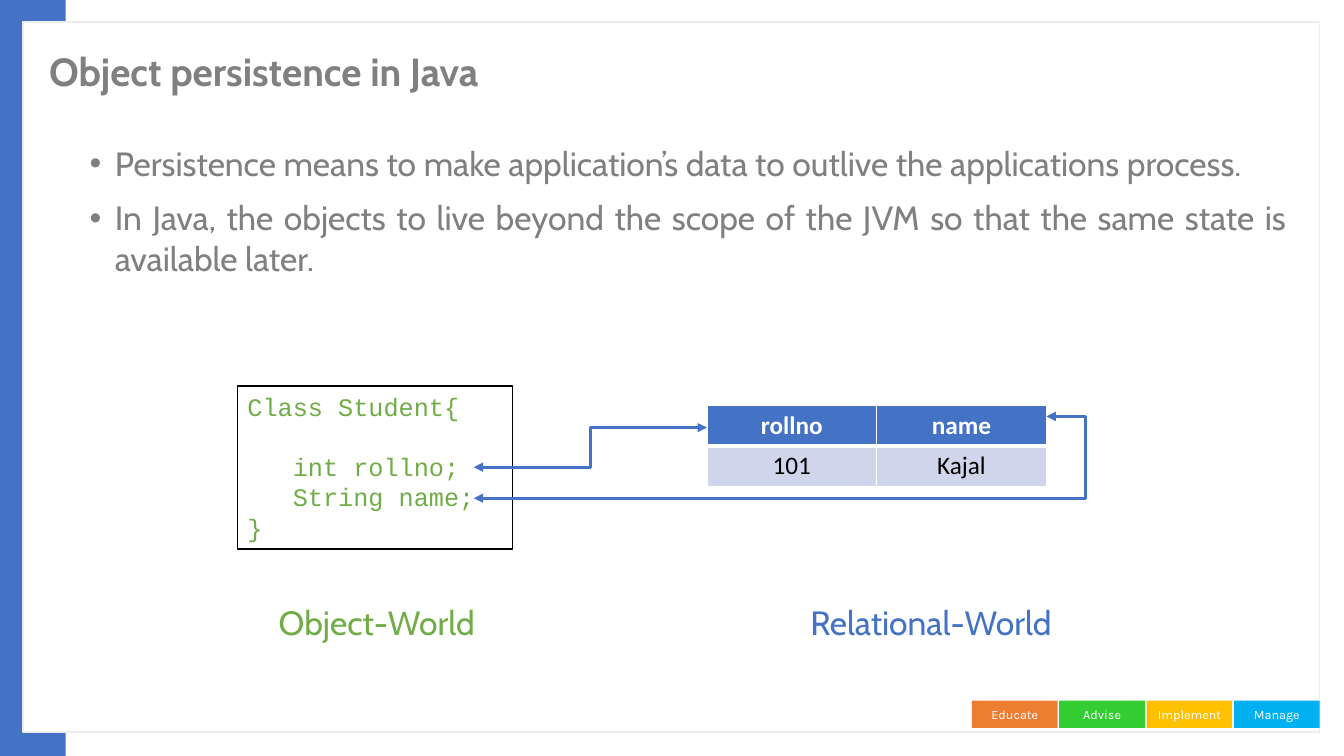
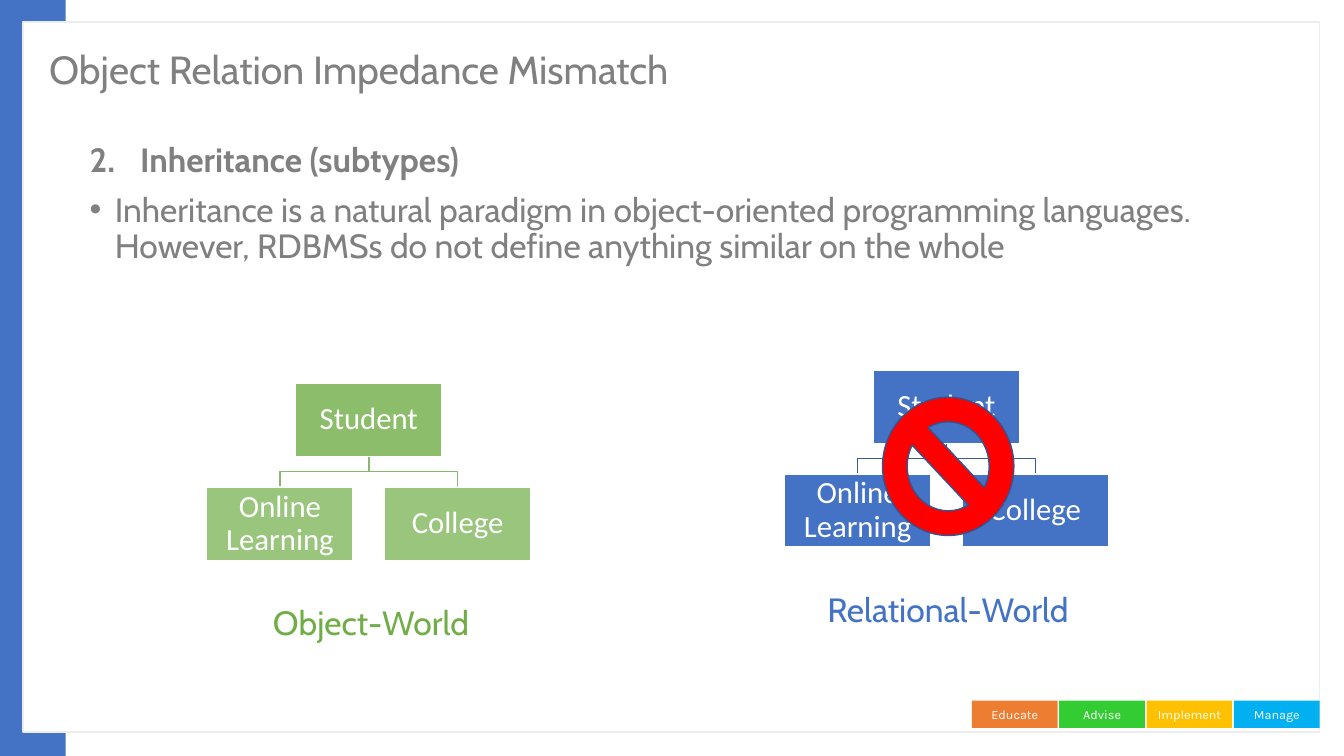
from lxml import etree
from pptx import Presentation
from pptx.dml.color import RGBColor
from pptx.enum import shapes as sh, text as tx
from pptx.oxml.ns import qn
from pptx.util import Pt

BLUE = RGBColor(0x44, 0x72, 0xC4)
NAVY = RGBColor(0x36, 0x5B, 0x9D)
RIM = RGBColor(0x32, 0x54, 0x91)
GREEN = RGBColor(0x70, 0xAD, 0x47)
SAGE = RGBColor(0x88, 0xB7, 0x6F)
GREY = RGBColor(0x80, 0x80, 0x80)
PALE = RGBColor(0xED, 0xED, 0xED)
ICE = RGBColor(0xCF, 0xD5, 0xEA)
RED = RGBColor(0xFF, 0, 0)
WHITE = RGBColor(0xFF, 0xFF, 0xFF)
BLACK = RGBColor(0, 0, 0)
TILES = [("Educate", RGBColor(0xED, 0x7D, 0x31)),
         ("Advise", RGBColor(0x33, 0xCC, 0x33)),
         ("Implement", RGBColor(0xFF, 0xC0, 0)),
         ("Manage", RGBColor(0, 0xB0, 0xF0))]

RECT = sh.MSO_SHAPE.RECTANGLE
LEFT, MID, JUST = tx.PP_ALIGN.LEFT, tx.PP_ALIGN.CENTER, tx.PP_ALIGN.JUSTIFY
CABIN = {"name": "Cabin", "size": Pt(24), "bold": False}
HEAD = {**CABIN, "size": Pt(28)}
TILE = {"name": "Karla", "size": Pt(9)}
CODE = {"name": "Courier New", "size": Pt(18)}
CELL = {"name": "Calibri", "size": Pt(18)}
NODE = {"name": "Calibri", "size": Pt(22)}


# Shared helpers
def put(obj, vals):
    for key, val in vals.items():
        setattr(obj, key, val)


def sub(node, tag, **vals):
    return etree.SubElement(node, qn("a:" + tag), vals)


def pts(*vals):
    return [Pt(v) for v in vals]


def write(frame, lines, font, ink, **para):
    """Each line is a string or a (string, paragraph values, font values) tuple."""
    frame.word_wrap = True
    for i, line in enumerate(lines):
        words, more, style = (line, {}, {}) if isinstance(line, str) else line
        par = frame.paragraphs[0] if i == 0 else frame.add_paragraph()
        put(par, {"alignment": LEFT, **para, **more})
        run = par.add_run()
        run.text = words
        put(run.font, {**font, **style})
        run.font.color.rgb = ink
    return frame


def block(page, box, fill, edge=None, kind=RECT, alpha=None):
    part = page.shapes.add_shape(kind, *pts(*box))
    part.shadow.inherit = False
    part.fill.solid()
    part.fill.fore_color.rgb = fill
    if alpha:
        tint = part._element.spPr.find(qn("a:solidFill"))[0]
        sub(tint, "alpha", val=str(alpha * 1000))
    if edge is None:
        part.line.fill.background()
    else:
        part.line.color.rgb = edge
        part.line.width = Pt(1)
    return part


def label(page, box, lines, font, ink, **para):
    part = page.shapes.add_textbox(*pts(*box))
    return write(part.text_frame, lines, font, ink, **para)


def indent(par, left, hang=0, num=None):
    props = par._p.get_or_add_pPr()
    props.set("marL", str(Pt(left)))
    props.set("indent", str(-Pt(hang)))
    if num:
        sub(props, "buAutoNum", type="arabicPeriod", startAt=str(num))
    elif hang:
        sub(props, "buFont", typeface="Arial")
        sub(props, "buChar", char="\u2022")


# Band, card, footer tiles and title of every slide
def frame(deck, title, top, bold):
    page = deck.slides.add_slide(deck.slide_layouts[6])
    block(page, (0, 0, 47, 540), BLUE)
    block(page, (16.5, 15.8, 926, 507), WHITE, PALE)
    for i, (word, fill) in enumerate(TILES):
        tile = block(page, (694.2 + 62.4 * i, 500.5, 61.2, 19.4), fill)
        put(tile.text_frame, {"margin_left": 0, "margin_right": 0,
                              "vertical_anchor": tx.MSO_ANCHOR.MIDDLE})
        write(tile.text_frame, [word], TILE, WHITE, alignment=MID)
    head = label(page, (28, top, 743, 62.6), [title], {**HEAD, "bold": bold},
                 GREY, line_spacing=0.9)
    head.vertical_anchor = tx.MSO_ANCHOR.MIDDLE
    return page


def body(page, lines, marks, **para):
    area = label(page, (57, 98.6, 869, 398), lines, CABIN, GREY,
                 space_before=Pt(10), **para)
    for par, mark in zip(area.paragraphs, marks):
        indent(par, *mark)


def world(page, left, top, width, word, ink):
    label(page, (left, top, width, 36), [word], CABIN, ink)


# Class source in a box
def code(page, box):
    part = block(page, box, WHITE, BLACK)
    part.text_frame.vertical_anchor = tx.MSO_ANCHOR.TOP
    lines = ["Class Student{",
             ("int rollno;", {"space_before": Pt(21.6)}, {}),
             "String name;", "}"]
    area = write(part.text_frame, lines, CODE, GREEN)
    for par in area.paragraphs[1:3]:
        indent(par, 32.4)


# Table of stored records
def table(page, box, rows):
    grid = page.shapes.add_table(len(rows), len(rows[0]), *pts(*box)).table
    for r, row in enumerate(rows):
        fill, ink = (ICE, BLACK) if r else (BLUE, WHITE)
        for c, word in enumerate(row):
            cell = grid.cell(r, c)
            write(cell.text_frame, [word], {**CELL, "bold": r == 0}, ink,
                  alignment=MID)
            props = cell._tc.get_or_add_tcPr()
            for side in "LRTB":
                thick = (r, side) in ((0, "B"), (1, "T"))
                line = sub(props, "ln" + side, w=str(Pt(3 if thick else 1)))
                sub(sub(line, "solidFill"), "srgbClr", val=str(WHITE))
            cell.fill.solid()
            cell.fill.fore_color.rgb = fill


# Double-headed elbow arrow; bend is the share of its width
def arrow(page, start, end, bend=0.5):
    link = page.shapes.add_connector(sh.MSO_CONNECTOR.ELBOW,
                                     *pts(*start, *end))
    link.line.color.rgb = BLUE
    link.line.width = Pt(2.25)
    props = link._element.spPr
    for tip in ("headEnd", "tailEnd"):
        sub(props.find(qn("a:ln")), tip, type="triangle")
    sub(props, "effectLst")
    guides = props.find(qn("a:prstGeom")).find(qn("a:avLst"))
    sub(guides, "gd", name="adj1", fmla=f"val {round(bend * 100000)}")


# Parent with two subtypes and the name of their world below
def tree(page, left, top, ink, edge, alphas, word, shift, width):
    wide, high, step, drop = 104.6, 52.3, 126.9, 74.2
    mid = left + (step + wide) / 2
    low, bar, base = top + high, top + (high + drop) / 2, top + drop
    path = None
    for x in (left + wide / 2, left + step + wide / 2):
        if path is None:
            path = page.shapes.build_freeform(*pts(mid, low))
        else:
            path.move_to(*pts(mid, low))
        path.add_line_segments([pts(mid, bar), pts(x, bar), pts(x, base)],
                               close=False)
    fork = path.convert_to_shape()
    fork.shadow.inherit = False
    fork.fill.background()
    fork.line.color.rgb = edge
    fork.line.width = Pt(1)
    spots = [("Student", mid - wide / 2, top, alphas[0]),
             ("Online Learning", left, base, alphas[1]),
             ("College", left + step, base, alphas[1])]
    for name, x, y, alpha in spots:
        node = block(page, (x, y, wide, high), ink, WHITE, alpha=alpha)
        area = node.text_frame
        for side in ("left", "right", "top", "bottom"):
            setattr(area, "margin_" + side, Pt(1.4))
        area.vertical_anchor = tx.MSO_ANCHOR.MIDDLE
        write(area, [name], NODE, WHITE, alignment=MID, line_spacing=0.9)
    world(page, left + shift, top + 152.6, width, word, ink)


def stored(deck):
    page = frame(deck, "Object persistence in Java", 21.6, True)
    body(page, [
        "Persistence means to make application\u2019s data to outlive the "
        "applications process.",
        "In Java, the objects to live beyond the scope of the JVM so that "
        "the same state is available later."],
        [(18, 18), (18, 18)], alignment=JUST)
    code(page, (169.7, 275.8, 196.6, 116.4))
    table(page, (505, 289.3, 242.4, 58.4),
          [("rollno", "name"), ("101", "Kajal")])
    arrow(page, (338.4, 333.8), (505, 305.5))
    arrow(page, (338.4, 355.9), (747.4, 297.5), 1.068)
    world(page, 192, 426.3, 181, "Object-World", GREEN)
    world(page, 571.7, 426.3, 209, "Relational-World", BLUE)


def subtypes(deck):
    page = frame(deck, "Object Relation Impedance Mismatch", 20, False)
    body(page, [
        ("Inheritance (subtypes)", {}, {"bold": True}),
        "Inheritance is a natural paradigm in object-oriented programming "
        "languages. However, RDBMSs do not define anything similar on the "
        "whole"],
        [(36, 36, 2), (18, 18)], line_spacing=0.9)
    tree(page, 147.7, 273.7, GREEN, SAGE, (80, 70), "Object-World", 40.2, 181)
    tree(page, 560.3, 264.3, BLUE, NAVY, (None, None), "Relational-World",
         23.6, 209)
    block(page, (630.4, 283.7, 93.8, 98.8), RED, RIM, sh.MSO_SHAPE.NO_SYMBOL)


deck = Presentation()
put(deck, {"slide_width": Pt(960), "slide_height": Pt(540)})
stored(deck)
subtypes(deck)
deck.save("out.pptx")
